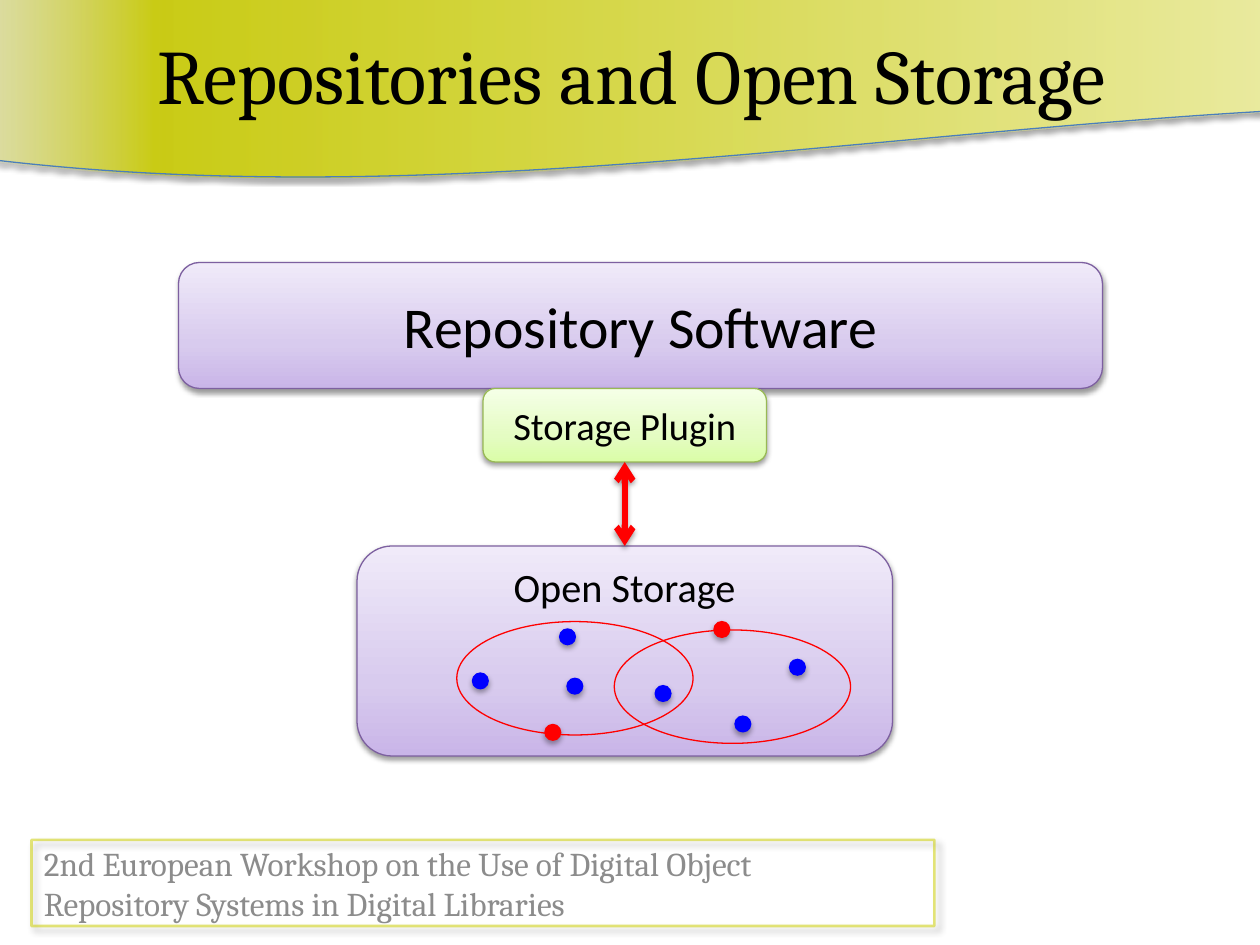
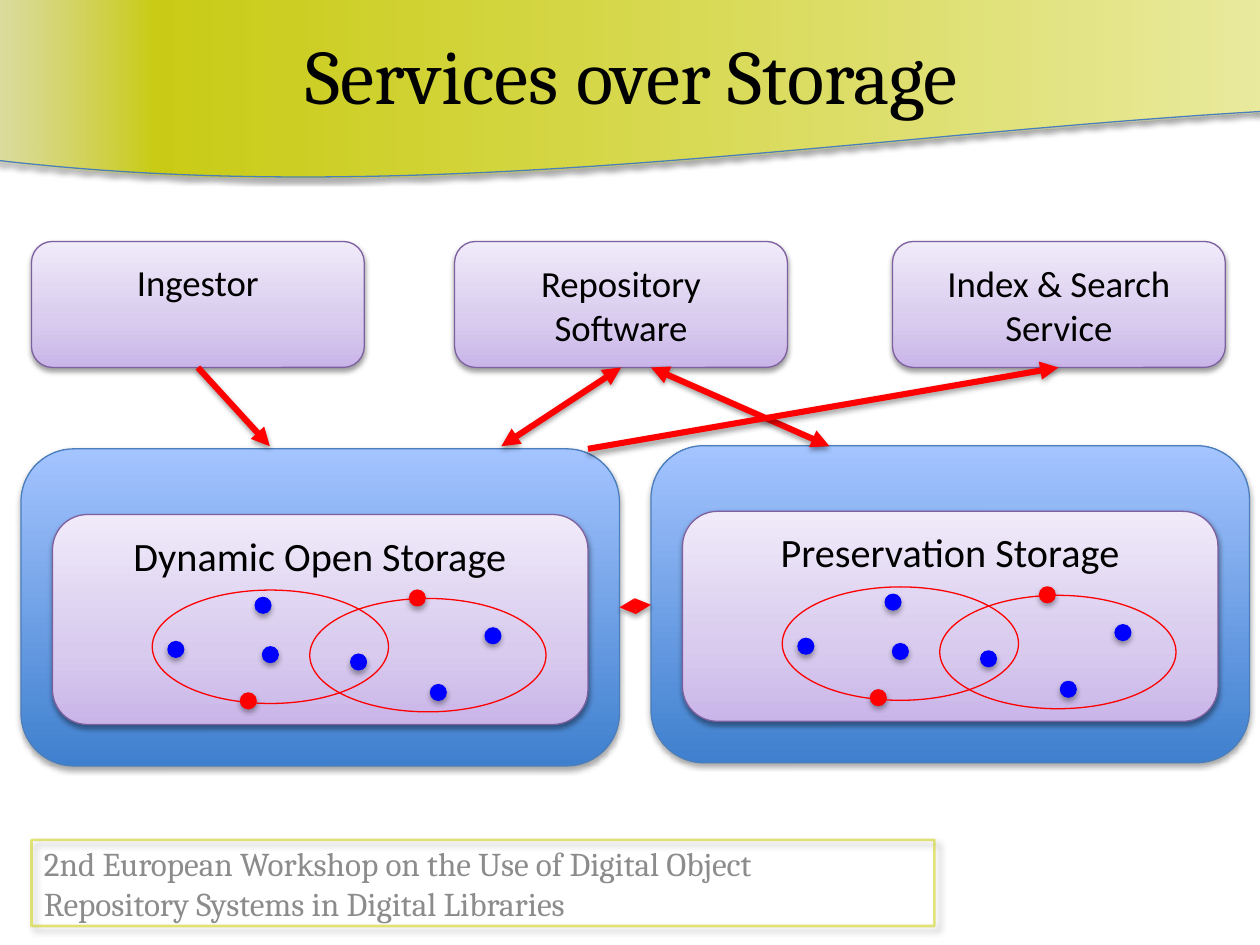
from typing import NamedTuple, Optional

from lxml import etree
from pptx import Presentation
from pptx.dml.color import RGBColor
from pptx.enum.shapes import MSO_CONNECTOR, MSO_SHAPE
from pptx.enum.text import MSO_ANCHOR, PP_ALIGN
from pptx.oxml.ns import qn
from pptx.util import Emu, Inches, Pt

RECT, ROUND = MSO_SHAPE.RECTANGLE, MSO_SHAPE.ROUNDED_RECTANGLE
OVAL, WAVE = MSO_SHAPE.OVAL, MSO_SHAPE.WAVE
STRAIGHT = MSO_CONNECTOR.STRAIGHT
TOP, MIDDLE = MSO_ANCHOR.TOP, MSO_ANCHOR.MIDDLE
LEFT, CENTER = PP_ALIGN.LEFT, PP_ALIGN.CENTER

# The slide is a grid of 120 columns by 90 rows of square cells.
WIDTH, HEIGHT = Inches(10), Inches(7.5)
CELL = WIDTH // 120

HEAD_FONT, BODY_FONT = "Cambria", "Calibri"
COLORS = {
    "black": "000000", "white": "FFFFFF", "gray": "8C8C8C",
    "olive": "CDCF01", "red": "FF0000", "blue": "0000FF",
    "purple_line": "7D60A0", "green_line": "98B955", "blue_line": "4B7EBC",
    "purple_low": "C9B5E8", "purple_mid": "D8CBEE", "purple_high": "F0EAF9",
    "green_low": "DAFDA7", "green_mid": "E4FCC2", "green_high": "F5FFE7",
    "blue_low": "3F80CE", "blue_high": "A4C4FF",
}
FOOTER = ("2nd European Workshop on the Use of Digital Object "
          "Repository Systems in Digital Libraries")


class Box(NamedTuple):
    x: float
    y: float
    w: float
    h: float


class Stop(NamedTuple):
    pos: int
    color: str
    alpha: int = 100


class Shadow(NamedTuple):
    alpha: int
    blur: float
    dist: float
    angle: int


class Look(NamedTuple):
    line: str
    fill: Optional[str] = None
    stops: tuple[Stop, ...] = ()
    angle: int = 270
    shadow: Optional[Shadow] = None
    width: float = 0.75
    line_alpha: int = 100


class Label(NamedTuple):
    text: str
    size: int
    font: str = BODY_FONT
    color: str = "black"
    align: PP_ALIGN = CENTER
    anchor: MSO_ANCHOR = MIDDLE
    bottom: float = 3.6


class Arrow(NamedTuple):
    x1: float
    y1: float
    x2: float
    y2: float
    head: Optional[str] = "triangle"
    tail: str = "triangle"
    width: float = 3.5


class Dot(NamedTuple):
    x: float
    y: float
    color: str = "blue"


class Store(NamedTuple):
    name: str
    x: float
    y: float


def tinted(name: str, shadow: Shadow) -> Look:
    """Three-step pastel gradient, darkest at the bottom."""
    stops = (Stop(0, f"{name}_low"), Stop(35, f"{name}_mid"), Stop(100, f"{name}_high"))
    return Look(f"{name}_line", stops=stops, shadow=shadow)


SOFT = Shadow(38, 3.1, 1.6, 90)
FIRM = Shadow(35, 3.1, 1.8, 90)
PURPLE, GREEN = tinted("purple", SOFT), tinted("green", SOFT)
BLUE = Look("blue_line", stops=(Stop(0, "blue_low"), Stop(100, "blue_high")), shadow=FIRM)
BAND = Look("blue_line", angle=0, shadow=FIRM,
            stops=(Stop(0, "white"), Stop(86, "olive", 88), Stop(100, "white", 40)))
FRAME = Look("olive", shadow=Shadow(43, 4, 3, 45), width=1.5, line_alpha=53)
RING = Look("red")

# Positions inside a store, counted from its top left corner.
STORE_W, STORE_H = 51, 20
RINGS = (Box(24.5, 8, 22.5, 10.8), Box(9.5, 7.2, 22.5, 10.8))
DOT_SIZE = 1.5
DOTS = (Dot(36, 16.2), Dot(17.9, 17, "red"), Dot(20, 12.6), Dot(34, 7.2, "red"),
        Dot(11, 12.1), Dot(19.3, 7.9), Dot(41.2, 10.8), Dot(28.4, 13.3))


def cells(n: float) -> Emu:
    return Emu(round(n * CELL))


def rgb(name: str) -> RGBColor:
    return RGBColor.from_string(COLORS[name])


def add_color(parent, name: str, alpha: int) -> None:
    clr = etree.SubElement(parent, qn("a:srgbClr"), val=COLORS[name])
    if alpha < 100:
        etree.SubElement(clr, qn("a:alpha"), val=str(alpha * 1000))


def add_shadow(effects, shadow: Shadow) -> None:
    outer = etree.SubElement(
        effects, qn("a:outerShdw"), blurRad=str(Pt(shadow.blur)),
        dist=str(Pt(shadow.dist)), dir=str(shadow.angle * 60000), rotWithShape="0")
    add_color(outer, "black", shadow.alpha)


def paint(sp, look: Look) -> None:
    sp.shadow.inherit = False
    props = sp._element.spPr
    if look.stops:
        sp.fill.gradient()
        grad = props.find(qn("a:gradFill"))
        for child in list(grad):
            grad.remove(child)
        stop_list = etree.SubElement(grad, qn("a:gsLst"))
        for stop in look.stops:
            gs = etree.SubElement(stop_list, qn("a:gs"), pos=str(stop.pos * 1000))
            add_color(gs, stop.color, stop.alpha)
        etree.SubElement(grad, qn("a:lin"), ang=str(look.angle * 60000), scaled="0")
    elif look.fill:
        sp.fill.solid()
        sp.fill.fore_color.rgb = rgb(look.fill)
    else:
        sp.fill.background()
    sp.line.width = Pt(look.width)
    sp.line.color.rgb = rgb(look.line)
    if look.line_alpha < 100:
        line_fill = props.find(qn("a:ln")).find(qn("a:solidFill"))
        line_fill.clear()
        add_color(line_fill, look.line, look.line_alpha)
    if look.shadow:
        add_shadow(props.find(qn("a:effectLst")), look.shadow)


def write(sp, label: Label) -> None:
    tf = sp.text_frame
    tf.word_wrap = True
    tf.vertical_anchor = label.anchor
    tf.margin_bottom = Pt(label.bottom)
    p = tf.paragraphs[0]
    p.alignment = label.align
    r = p.add_run()
    r.text = label.text
    r.font.name = label.font
    r.font.size = Pt(label.size)
    r.font.color.rgb = rgb(label.color)


def add_box(s, kind: MSO_SHAPE, box: Box, look: Look, label: Optional[Label] = None):
    sp = s.shapes.add_shape(kind, *map(cells, box))
    paint(sp, look)
    if label:
        write(sp, label)
    return sp


def add_text(s, box: Box, label: Label) -> None:
    write(s.shapes.add_textbox(*map(cells, box)), label)


def add_arrow(s, arrow: Arrow) -> None:
    ends = map(cells, (arrow.x1, arrow.y1, arrow.x2, arrow.y2))
    cxn = s.shapes.add_connector(STRAIGHT, *ends)
    cxn.line.width = Pt(arrow.width)
    cxn.line.color.rgb = rgb("red")
    props = cxn._element.spPr
    line = props.find(qn("a:ln"))
    if arrow.head:
        etree.SubElement(line, qn("a:headEnd"), type=arrow.head)
    etree.SubElement(line, qn("a:tailEnd"), type=arrow.tail)
    add_shadow(etree.SubElement(props, qn("a:effectLst")), SOFT)


def add_store(s, store: Store) -> None:
    """Named store holding two overlapping sets of objects."""
    add_box(s, ROUND, Box(store.x, store.y, STORE_W, STORE_H), PURPLE,
            Label(store.name, 23, anchor=TOP))
    for dot in DOTS:
        add_box(s, OVAL, Box(store.x + dot.x, store.y + dot.y, DOT_SIZE, DOT_SIZE),
                Look(dot.color, fill=dot.color, shadow=FIRM))
    for ring in RINGS:
        add_box(s, OVAL, ring._replace(x=store.x + ring.x, y=store.y + ring.y), RING)


def add_base(prs, title: str):
    """New slide with the band, title and framed footer."""
    s = prs.slides.add_slide(prs.slide_layouts[6])
    add_box(s, RECT, Box(3, 80, 86, 8.2), FRAME)
    band = add_box(s, WAVE, Box(-13, -12, 198, 29), BAND)
    band._element.spPr.find(qn("a:xfrm")).set("flipH", "1")
    add_text(s, Box(3, 1, 114.4, 12), Label(title, 44, HEAD_FONT))
    add_text(s, Box(3, 80, 76, 8.2), Label(FOOTER, 19, HEAD_FONT, "gray", LEFT))
    return s


def build_open_storage(prs) -> None:
    s = add_base(prs, "Repositories and Open Storage")
    add_box(s, ROUND, Box(17, 25, 88, 12), PURPLE, Label("Repository Software", 33))
    add_box(s, ROUND, Box(46, 37, 27, 7), GREEN, Label("Storage Plugin", 22))
    add_store(s, Store("Open Storage", 34, 52))
    add_arrow(s, Arrow(59.5, 52, 59.5, 44, "arrow", "arrow"))


def build_services(prs) -> None:
    s = add_base(prs, "Services over Storage")
    stores = (Store("Dynamic Open Storage", 5, 49), Store("Preservation Storage", 65, 48.7))
    for store in stores:
        add_box(s, ROUND, Box(store.x - 3, store.y - 6.25, 57, 30.2), BLUE)
        add_store(s, store)
    services = ((3, Label("Ingestor", 21, bottom=29.2)),
                (43.3, Label("Repository Software", 21)),
                (85, Label("Index & Search Service", 21)))
    for x, label in services:
        add_box(s, ROUND, Box(x, 23, 31.7, 12), PURPLE, label)
    for arrow in (Arrow(18.85, 35, 25.7, 42.5, head=None),
                  Arrow(59.15, 35, 47.75, 42.5),
                  Arrow(62, 35, 79, 42.5),
                  Arrow(56, 42.75, 100.8, 35, head=None),
                  Arrow(59, 57.85, 62, 57.6, width=3)):
        add_arrow(s, arrow)


def main() -> None:
    prs = Presentation()
    prs.slide_width, prs.slide_height = WIDTH, HEIGHT
    build_open_storage(prs)
    build_services(prs)
    prs.save("out.pptx")


if __name__ == "__main__":
    main()
